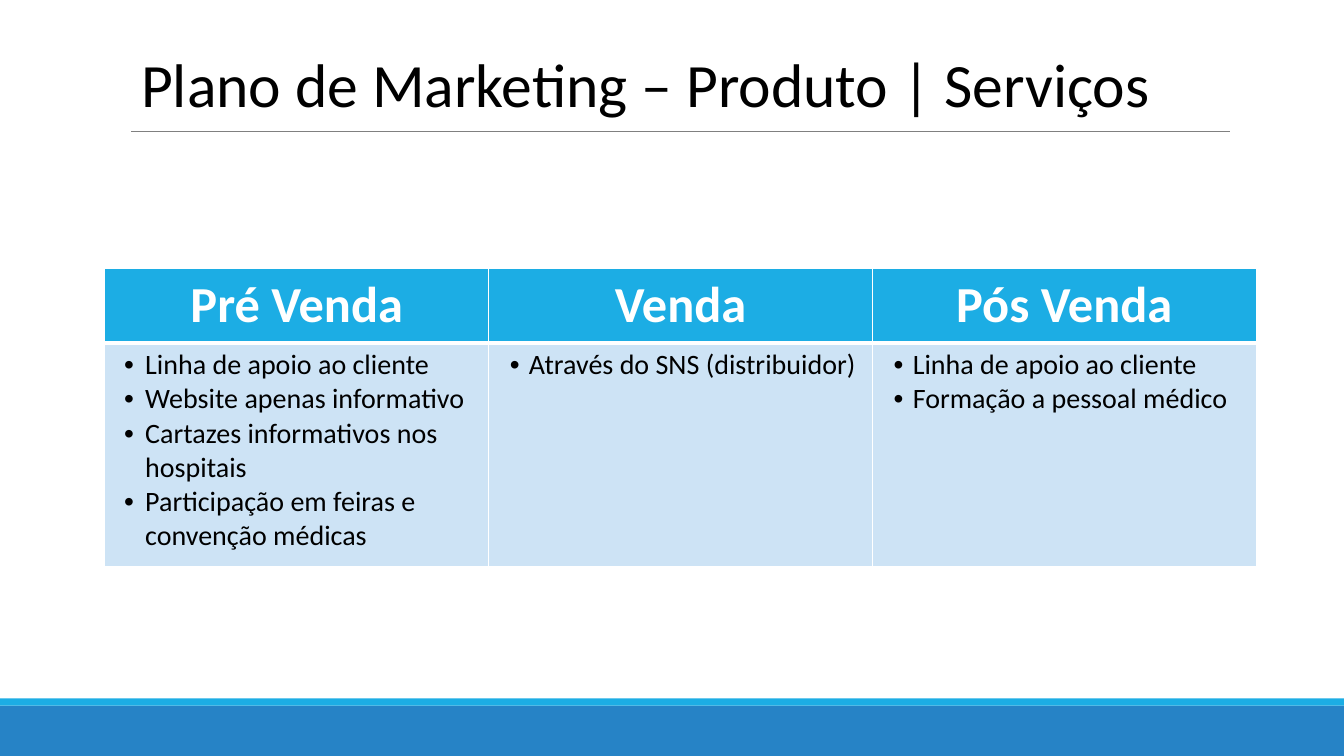
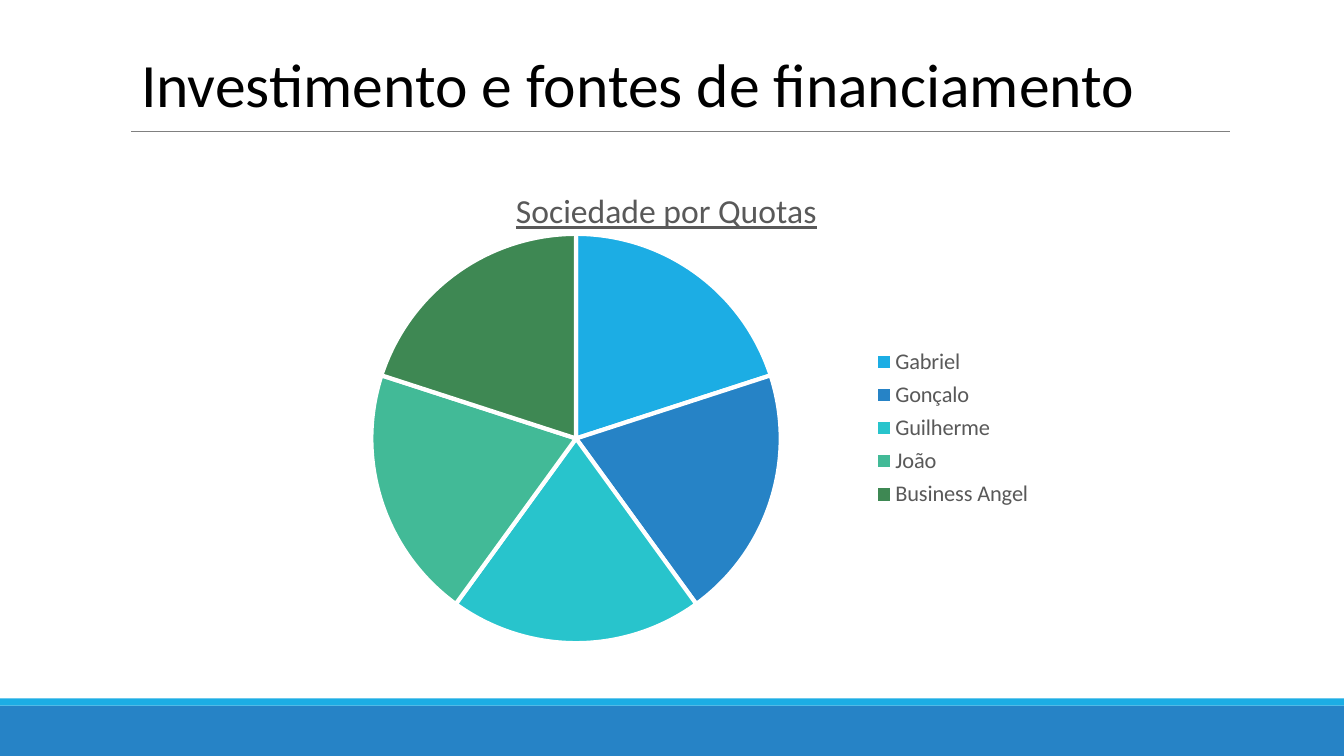
from dataclasses import dataclass
from typing import Optional

import lxml.etree
import pptx
import pptx.chart.chart
import pptx.chart.data
import pptx.dml.color
import pptx.enum.chart
import pptx.enum.shapes
import pptx.enum.text
import pptx.oxml.ns
import pptx.presentation
import pptx.shapes.autoshape
import pptx.slide
import pptx.table
import pptx.text.text
import pptx.util

Inches = pptx.util.Inches
qn = pptx.oxml.ns.qn

# Shared style
FONT = "Calibri"
BLACK, WHITE, GREY, RULE_GREY = "000000", "FFFFFF", "595959", "808080"
SKY, BLUE, PALE = "1CADE4", "2683C6", "CDE3F5"
SLIDE_WIDTH, SLIDE_HEIGHT = 13.33, 7.5
TITLE_ONLY_LAYOUT = 5


@dataclass(frozen=True)
class Band:
    top: float
    height: float
    color: str


@dataclass(frozen=True)
class Phase:
    name: str
    services: tuple[str, ...]
    hanging: float  # distance from bullet to text


@dataclass(frozen=True)
class Partner:
    name: str
    share: int
    color: str


BANDS = (Band(7, 0.5, BLUE), Band(6.93, 0.07, SKY))

PHASES = (
    Phase("Pré Venda", (
        "Linha de apoio ao cliente",
        "Website apenas informativo",
        "Cartazes informativos nos hospitais",
        "Participação em feiras e convenção médicas",
    ), 0.21),
    Phase("Venda", ("Através do SNS (distribuidor)",), 0.19),
    Phase("Pós Venda", (
        "Linha de apoio ao cliente",
        "Formação a pessoal médico",
    ), 0.19),
)

PARTNERS = (
    Partner("Gabriel", 20, SKY),
    Partner("Gonçalo", 20, BLUE),
    Partner("Guilherme", 20, "28C4CC"),
    Partner("João", 20, "42BA97"),
    Partner("Business Angel", 20, "3E8853"),
)


def rgb(color: str) -> pptx.dml.color.RGBColor:
    return pptx.dml.color.RGBColor.from_string(color)


def style_font(font: pptx.text.text.Font, size: float, color: str,
               bold: bool = False, underline: bool = False) -> None:
    font.name, font.size = FONT, pptx.util.Pt(size)
    font.bold, font.underline = bold, underline
    font.color.rgb = rgb(color)


def write(frame: pptx.text.text.TextFrame, *lines: str, size: float,
          color: str = BLACK, bold: bool = False, underline: bool = False,
          align: pptx.enum.text.PP_ALIGN = pptx.enum.text.PP_ALIGN.LEFT,
          hanging: Optional[float] = None) -> None:
    """Write one paragraph per line, bulleted if a hanging indent is given."""
    for index, line in enumerate(lines):
        paragraph = frame.paragraphs[0] if index == 0 else frame.add_paragraph()
        paragraph.alignment = align
        run = paragraph.add_run()
        run.text = line
        style_font(run.font, size, color, bold, underline)
        if hanging is not None:
            properties = paragraph._p.get_or_add_pPr()
            properties.set("marL", str(Inches(0.3)))
            properties.set("indent", str(-Inches(hanging)))
            lxml.etree.SubElement(properties, qn("a:buFont")).set("typeface", "Arial")
            lxml.etree.SubElement(properties, qn("a:buChar")).set("char", "•")


def add_bands(slide: pptx.slide.Slide) -> None:
    for band in BANDS:
        strip = slide.shapes.add_shape(
            pptx.enum.shapes.MSO_SHAPE.RECTANGLE, 0, Inches(band.top),
            Inches(SLIDE_WIDTH), Inches(band.height))
        strip.shadow.inherit = False
        strip.fill.solid()
        strip.fill.fore_color.rgb = rgb(band.color)
        strip.line.fill.background()


def add_title_rule(slide: pptx.slide.Slide) -> None:
    rule = slide.shapes.add_connector(
        pptx.enum.shapes.MSO_CONNECTOR.STRAIGHT,
        Inches(1.3), Inches(1.3), Inches(12.2), Inches(1.3))
    rule.line.color.rgb = rgb(RULE_GREY)
    rule.line.width = pptx.util.Pt(0.5)
    lxml.etree.SubElement(rule._element.spPr, qn("a:effectLst"))


def add_titled_slide(deck: pptx.presentation.Presentation,
                     heading: str) -> pptx.slide.Slide:
    slide = deck.slides.add_slide(deck.slide_layouts[TITLE_ONLY_LAYOUT])
    add_bands(slide)
    title = slide.shapes.title
    title.left, title.top = Inches(1.3), Inches(0.41)
    title.width, title.height = Inches(10.47), Inches(0.84)
    frame = title.text_frame
    frame.word_wrap = True
    frame.auto_size = pptx.enum.text.MSO_AUTO_SIZE.SHAPE_TO_FIT_TEXT
    frame.vertical_anchor = pptx.enum.text.MSO_ANCHOR.TOP
    write(frame, heading, size=44)
    add_title_rule(slide)
    return slide


def set_borders(cell: pptx.table._Cell, **widths: float) -> None:
    """Draw white borders; keys L, R, T, B override the one-point width."""
    properties = cell._tc.get_or_add_tcPr()
    for position, side in enumerate("LRTB"):
        border = lxml.etree.Element(qn(f"a:ln{side}"))
        border.set("w", str(pptx.util.Pt(widths.get(side, 1))))
        fill = lxml.etree.SubElement(border, qn("a:solidFill"))
        lxml.etree.SubElement(fill, qn("a:srgbClr")).set("val", WHITE)
        properties.insert(position, border)


def fill_cell(cell: pptx.table._Cell, color: str) -> None:
    cell.fill.solid()
    cell.fill.fore_color.rgb = rgb(color)


def add_services_table(slide: pptx.slide.Slide) -> None:
    services = slide.shapes.add_table(
        2, len(PHASES), Inches(1.04), Inches(2.66),
        Inches(11.42), Inches(2.96)).table
    for row, height in zip(services.rows, (0.74, 2.22)):
        row.height = Inches(height)
    for column, phase in enumerate(PHASES):
        header, body = services.cell(0, column), services.cell(1, column)
        fill_cell(header, SKY)
        set_borders(header, B=3)
        header.vertical_anchor = pptx.enum.text.MSO_ANCHOR.MIDDLE
        write(header.text_frame, phase.name, size=36, color=WHITE, bold=True,
              align=pptx.enum.text.PP_ALIGN.CENTER)
        fill_cell(body, PALE)
        set_borders(body, T=3)
        write(body.text_frame, *phase.services, size=20, hanging=phase.hanging)


def place_part(chart: pptx.chart.chart.Chart, part: str,
               after: Optional[str] = None, inner: bool = False,
               **fractions: float) -> None:
    """Fix a chart part at x, y (and w, h) as fractions of the chart."""
    owner = chart.element.find(f".//{qn(part)}")
    for old in owner.findall(qn("c:layout")):
        owner.remove(old)
    layout = lxml.etree.Element(qn("c:layout"))
    manual = lxml.etree.SubElement(layout, qn("c:manualLayout"))
    settings = [("layoutTarget", "inner")] if inner else []
    settings += [("xMode", "edge"), ("yMode", "edge")]
    settings += [(key, str(value)) for key, value in fractions.items()]
    for tag, value in settings:
        lxml.etree.SubElement(manual, qn(f"c:{tag}")).set("val", value)
    if after is None:
        owner.insert(0, layout)
    else:
        owner.find(qn(after)).addnext(layout)


def add_shares_chart(slide: pptx.slide.Slide) -> None:
    shares = pptx.chart.data.CategoryChartData()
    shares.categories = [partner.name for partner in PARTNERS]
    shares.add_series("Series 1", [partner.share for partner in PARTNERS])
    chart = slide.shapes.add_chart(
        pptx.enum.chart.XL_CHART_TYPE.PIE, Inches(2.43), Inches(1.55),
        Inches(8.21), Inches(5.14), shares).chart
    style_font(chart.font, 10, BLACK)

    # Chart title
    chart.has_title = True
    write(chart.chart_title.text_frame, "Sociedade por Quotas",
          size=24, color=GREY, underline=True,
          align=pptx.enum.text.PP_ALIGN.CENTER)
    place_part(chart, "c:title", after="c:tx", x=0.32, y=0.05)

    # Slices
    pie = chart.plots[0]
    pie.vary_by_categories = True
    for index, partner in enumerate(PARTNERS):
        piece = pie.series[0].points[index].format
        piece.fill.solid()
        piece.fill.fore_color.rgb = rgb(partner.color)
        piece.line.color.rgb = rgb(WHITE)
        piece.line.width = pptx.util.Pt(3)
    place_part(chart, "c:plotArea", inner=True, x=0.14, y=0.15, w=0.52, h=0.79)

    # Legend
    chart.has_legend = True
    chart.legend.position = pptx.enum.chart.XL_LEGEND_POSITION.RIGHT
    chart.legend.include_in_layout = False
    style_font(chart.legend.font, 16, GREY)
    place_part(chart, "c:legend", after="c:legendPos",
               x=0.74, y=0.36, w=0.23, h=0.33)


def main() -> None:
    deck = pptx.Presentation()
    deck.slide_width, deck.slide_height = Inches(SLIDE_WIDTH), Inches(SLIDE_HEIGHT)
    add_services_table(
        add_titled_slide(deck, "Plano de Marketing – Produto | Serviços"))
    add_shares_chart(
        add_titled_slide(deck, "Investimento e fontes de financiamento"))
    deck.save("out.pptx")


if __name__ == "__main__":
    main()
